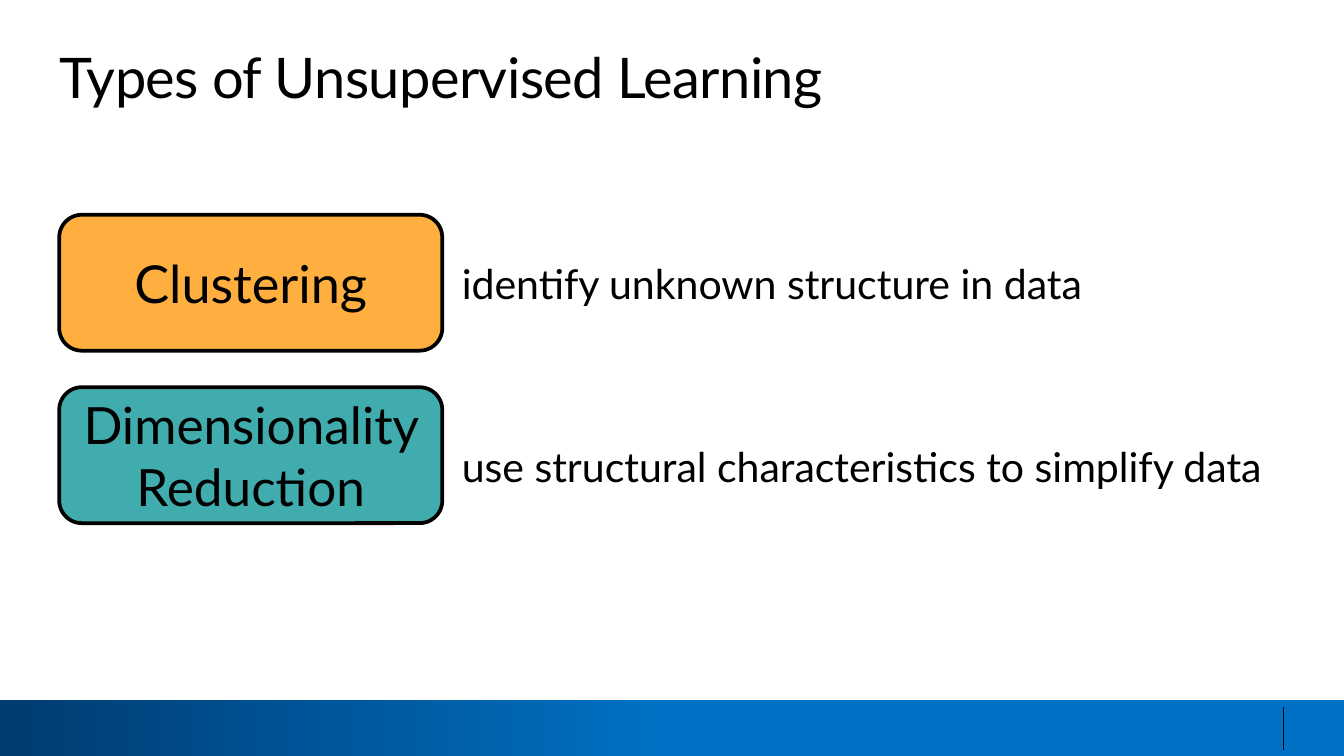
"""Build the slide that names the two types of unsupervised learning."""
from dataclasses import dataclass
from typing import Any

from lxml import etree
from pptx import Presentation
from pptx import util as u
from pptx.dml.color import RGBColor
from pptx.enum import shapes, text
from pptx.oxml import ns

COLORS = {
    "ink": "000000",
    "orange": "FF9300",
    "teal": "009193",
    "navy": "003C71",
    "blue": "0071C5",
}
SLIDE_WIDTH, SLIDE_HEIGHT = 25.4, 14.29
LEFT, LABEL_WIDTH, LABEL_HEIGHT = 1.12, 7.24, 2.57
DETAIL_LEFT, DETAIL_WIDTH, DETAIL_HEIGHT = 8.48, 16.05, 1.68
FOOTER_TOP = 13.23


@dataclass(frozen=True)
class LearningType:
    name: str
    detail: str
    color: str
    label_top: float
    detail_top: float
    label_size: float


LEARNING_TYPES = [
    LearningType("Clustering", "identify unknown structure in data",
                 "orange", 4.06, 4.29, 28),
    LearningType("Dimensionality Reduction", "use structural characteristics to simplify data",
                 "teal", 7.32, 7.75, 27.5),
]


def color(name: str) -> RGBColor:
    return RGBColor.from_string(COLORS[name])


def box(left: float, top: float, width: float, height: float) -> list[u.Cm]:
    return [u.Cm(length) for length in (left, top, width, height)]


def apply(target: Any, values: dict[str, Any]) -> None:
    for attribute, value in values.items():
        setattr(target, attribute, value)


def write(shape: Any, wording: str, size: float, frame: dict[str, Any],
          paragraph: dict[str, Any]) -> Any:
    apply(shape.text_frame, {"word_wrap": True, **frame})
    line = shape.text_frame.paragraphs[0]
    apply(line, paragraph)
    run = line.add_run()
    run.text = wording
    apply(run.font, {"name": "Lato", "size": u.Pt(size)})
    run.font.color.rgb = color("ink")
    return run


def draw_title(slide: Any, wording: str) -> None:
    title = slide.shapes.title
    apply(title, dict(zip(("left", "top", "width", "height"), box(LEFT, 0.81, 23.44, 1.27))))
    margins = {f"margin_{side}": 0 for side in ("left", "top", "right", "bottom")}
    run = write(title, wording, 30,
                {**margins, "auto_size": text.MSO_AUTO_SIZE.NONE,
                 "vertical_anchor": text.MSO_ANCHOR.TOP},
                {"alignment": text.PP_ALIGN.LEFT})
    run.font._element.set("spc", "-30")


def draw_footer(slide: Any) -> None:
    band = slide.shapes.add_shape(shapes.MSO_SHAPE.RECTANGLE,
                                  *box(0, FOOTER_TOP, SLIDE_WIDTH, SLIDE_HEIGHT - FOOTER_TOP))
    band.shadow.inherit = False
    band.line.fill.background()
    band.fill.gradient()
    band.fill.gradient_angle = 0
    for stop, name, position in zip(band.fill.gradient_stops, ("navy", "blue"), (0, 0.5)):
        stop.color.rgb = color(name)
        stop.position = position
    divider = slide.shapes.add_connector(shapes.MSO_CONNECTOR.STRAIGHT,
                                         *box(24.26, 13.36, 24.26, 14.17))
    divider.line.color.rgb = color("ink")
    divider.line.width = u.Pt(0.75)
    etree.SubElement(divider._element.spPr, ns.qn("a:effectLst"))


def draw_learning_type(slide: Any, kind: LearningType) -> None:
    label = slide.shapes.add_shape(shapes.MSO_SHAPE.ROUNDED_RECTANGLE,
                                   *box(LEFT, kind.label_top, LABEL_WIDTH, LABEL_HEIGHT))
    label.shadow.inherit = False
    label.fill.solid()
    label.fill.fore_color.rgb = color(kind.color)
    tint = label._element.spPr.find(f"{ns.qn('a:solidFill')}/{ns.qn('a:srgbClr')}")
    etree.SubElement(tint, ns.qn("a:alpha"), val="75000")
    label.line.color.rgb = color("ink")
    label.line.width = u.Pt(2)
    write(label, kind.name, kind.label_size, {"vertical_anchor": text.MSO_ANCHOR.MIDDLE},
          {"alignment": text.PP_ALIGN.CENTER})

    detail = slide.shapes.add_textbox(
        *box(DETAIL_LEFT, kind.detail_top, DETAIL_WIDTH, DETAIL_HEIGHT))
    write(detail, kind.detail, 22, {"auto_size": text.MSO_AUTO_SIZE.SHAPE_TO_FIT_TEXT},
          {"line_spacing": 1.5})


def main() -> None:
    deck = Presentation()
    apply(deck, {"slide_width": u.Cm(SLIDE_WIDTH), "slide_height": u.Cm(SLIDE_HEIGHT)})
    slide = deck.slides.add_slide(deck.slide_layouts.get_by_name("Title Only"))
    draw_footer(slide)
    draw_title(slide, "Types of Unsupervised Learning")
    for kind in LEARNING_TYPES:
        draw_learning_type(slide, kind)
    deck.save("out.pptx")


if __name__ == "__main__":
    main()
